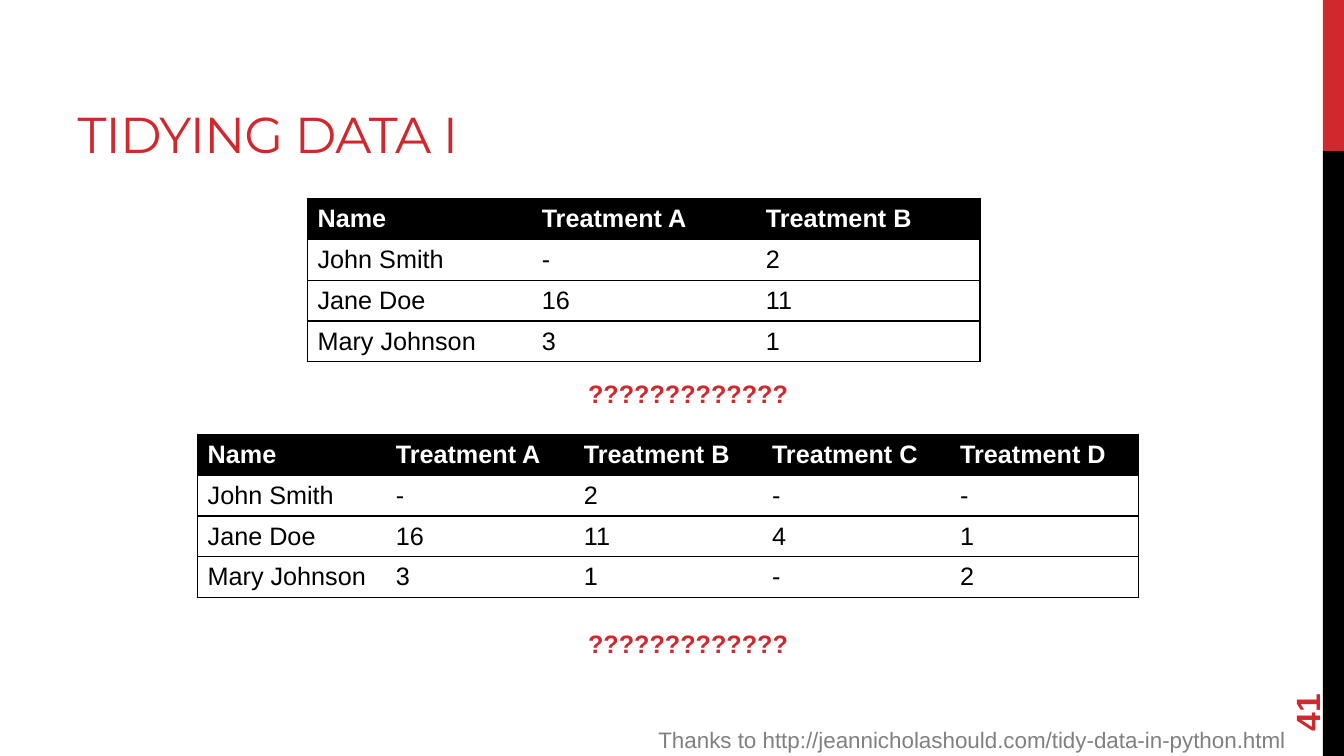
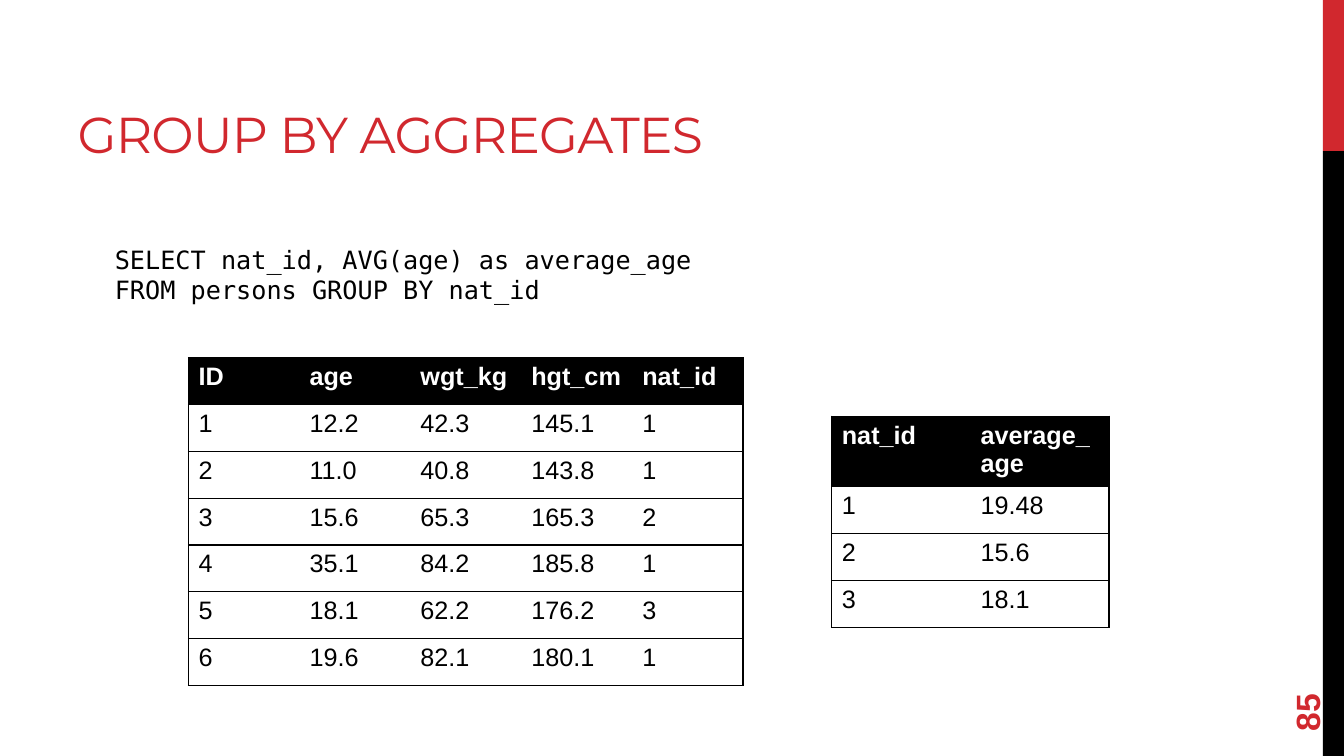
from lxml.etree import SubElement as Sub
from pptx import Presentation
from pptx.dml.color import RGBColor as RGB
from pptx.enum.shapes import MSO_SHAPE as Shape
from pptx.enum.text import MSO_ANCHOR as Anchor, PP_ALIGN as Align
from pptx.oxml import parse_xml
from pptx.oxml.ns import nsdecls, qn
from pptx.util import Inches, Pt

RED, BLACK, WHITE, GREY = "D1282E", "000000", "FFFFFF", "808080"
HEAD = dict(size=18, name="Arial", color=WHITE, bold=True)
CELL = dict(size=18, name="Arial", color=BLACK, bold=False)
MARK = dict(size=18, name="Arial", color=RED, bold=True)
PAGE = dict(size=24, name="Arial", color=RED, bold=True)
CREDIT = dict(size=16, name="Arial", color=GREY)
CODE = dict(size=18, name="DejaVu Sans Mono", color=BLACK)
PLAIN = "{2D5ABB26-0587-4C30-8999-92F81FD0307C}"

BANDS = [(RED, 0, 1.5), (BLACK, 1.5, 6)]
TITLE = (0.67, 0.17, 8.44, 1.5)
NUMBER = (12.24, 6.37, 1.44, 0.53)

SLIDES = [
    dict(
        title="TIDYING DATA I",
        page="41",
        tables=[
            ((3.05, 1.97, 6.67, 1.62), Anchor.MIDDLE, [
                ("Name", "Treatment A", "Treatment B"),
                ("John Smith", "-", "2"),
                ("Jane Doe", "16", "11"),
                ("Mary Johnson", "3", "1"),
            ]),
            ((1.96, 4.31, 9.33, 1.62), Anchor.MIDDLE, [
                ("Name", "Treatment A", "Treatment B", "Treatment C", "Treatment D"),
                ("John Smith", "-", "2", "-", "-"),
                ("Jane Doe", "16", "11", "4", "1"),
                ("Mary Johnson", "3", "1", "-", "2"),
            ]),
        ],
        texts=[
            ((5.03, 3.7, 3.59, 0.4), ["?????????????"], MARK, Align.CENTER),
            ((5.03, 6.18, 3.59, 0.4), ["?????????????"], MARK, Align.CENTER),
            ((6.27, 7.15, 6.58, 0.37),
             ["Thanks to http://jeannicholashould.com/tidy-data-in-python.html"],
             CREDIT, Align.RIGHT),
        ],
    ),
    dict(
        title="GROUP BY AGGREGATES",
        page="85",
        tables=[
            ((1.87, 3.55, 5.5, 3.25), Anchor.TOP, [
                ("ID", "age", "wgt_kg", "hgt_cm", "nat_id"),
                ("1", "12.2", "42.3", "145.1", "1"),
                ("2", "11.0", "40.8", "143.8", "1"),
                ("3", "15.6", "65.3", "165.3", "2"),
                ("4", "35.1", "84.2", "185.8", "1"),
                ("5", "18.1", "62.2", "176.2", "3"),
                ("6", "19.6", "82.1", "180.1", "1"),
            ]),
            ((8.25, 4.13, 2.75, 1.86), Anchor.TOP, [
                ("nat_id", "average_age"),
                ("1", "19.48"),
                ("2", "15.6"),
                ("3", "18.1"),
            ]),
        ],
        texts=[
            ((1.04, 2.37, 6.08, 0.71),
             ["SELECT nat_id, AVG(age) as average_age", "FROM persons GROUP BY nat_id"],
             CODE, Align.LEFT),
        ],
    ),
]


def rgb(code):
    return RGB.from_string(code)


def inch(box):
    return [Inches(n) for n in box]


def style(font, form):
    for key, val in form.items():
        if key == "color":
            font.color.rgb = rgb(val)
        else:
            setattr(font, key, Pt(val) if key == "size" else val)


def add_text(slide, box, lines, form, align=Align.LEFT, anchor=Anchor.TOP):
    shape = slide.shapes.add_textbox(*inch(box))
    frame = shape.text_frame
    frame.word_wrap = True
    frame.vertical_anchor = anchor
    frame.text = "\n".join(lines)
    for para in frame.paragraphs:
        para.alignment = align
        for run in para.runs:
            style(run.font, form)
    return shape


def add_edges(cell, sides):
    props = cell._tc.get_or_add_tcPr()
    for spot, side in enumerate(sides):
        props.insert(spot, parse_xml(
            f'<a:ln{side} {nsdecls("a")} w="12700"><a:solidFill>'
            f'<a:srgbClr val="{BLACK}"/></a:solidFill></a:ln{side}>'))


def add_grid(slide, box, anchor, rows):
    high, wide = len(rows), len(rows[0])
    frame = slide.shapes.add_table(high, wide, *inch(box))
    table = frame.table
    table._tbl.tblPr.find(qn("a:tableStyleId")).text = PLAIN
    table.horz_banding = False
    for col in table.columns:
        col.width = Inches(box[2] / wide)
    for row in table.rows:
        row.height = Inches(box[3] / high)
    for i, row in enumerate(rows):
        for j, word in enumerate(row):
            cell = table.cell(i, j)
            cell.text = word
            cell.vertical_anchor = anchor
            cell.fill.solid()
            cell.fill.fore_color.rgb = rgb(WHITE if i else BLACK)
            style(cell.text_frame.paragraphs[0].runs[0].font, CELL if i else HEAD)
            add_edges(cell, "L" * (j == 0) + "R" * (j == wide - 1) + "TB")


def set_layout(layout, slide):
    for color, top, tall in BANDS:
        band = slide.shapes.add_shape(Shape.RECTANGLE, *inch((13.12, top, 0.21, tall)))
        band.shadow.inherit = False
        band.fill.solid()
        band.fill.fore_color.rgb = rgb(color)
        band.line.fill.background()
        layout.shapes.element.append(band.element)
    title = layout.placeholders[0]
    title.left, title.top, title.width, title.height = inch(TITLE)
    title.text_frame.vertical_anchor = Anchor.BOTTOM
    rules = title.element.txBody.find(qn("a:lstStyle"))
    level = Sub(rules, qn("a:lvl1pPr"), algn="l")
    font = Sub(level, qn("a:defRPr"), sz="3600", spc="-60")
    Sub(Sub(font, qn("a:solidFill")), qn("a:srgbClr"), val=RED)
    Sub(font, qn("a:latin"), typeface="Montserrat")


def main():
    deck = Presentation()
    deck.slide_width, deck.slide_height = inch((13.33, 7.5))
    layout = deck.slide_layouts[5]
    for i, data in enumerate(SLIDES):
        slide = deck.slides.add_slide(layout)
        if i == 0:
            set_layout(layout, slide)
        slide.shapes.title.text = data["title"]
        page = add_text(slide, NUMBER, [data["page"]], PAGE, anchor=Anchor.MIDDLE)
        page.rotation = 270
        for grid in data["tables"]:
            add_grid(slide, *grid)
        for text in data["texts"]:
            add_text(slide, *text)
    deck.save("out.pptx")


if __name__ == "__main__":
    main()
